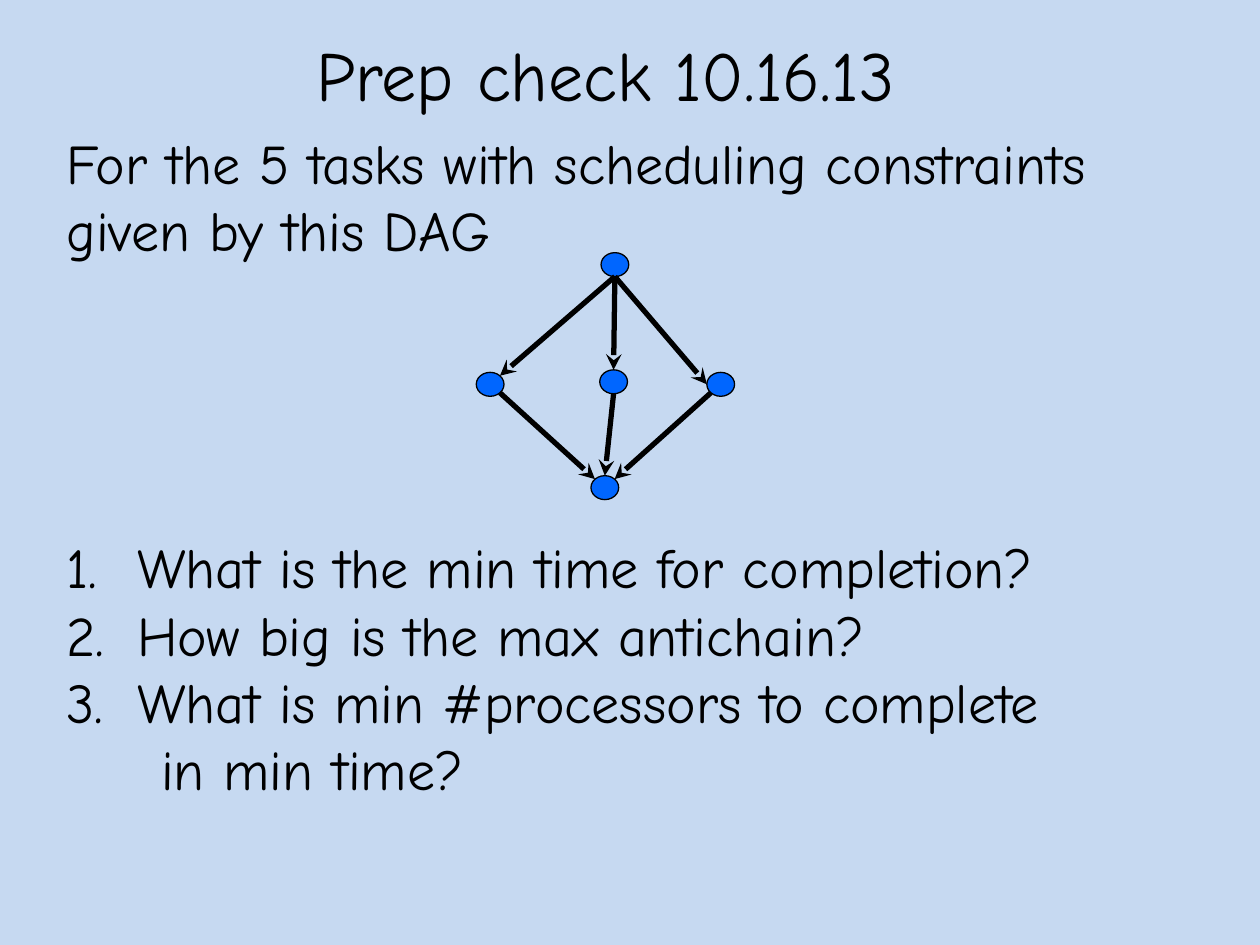
from lxml import etree
from pptx import Presentation
from pptx import util as u
from pptx.dml.color import RGBColor
from pptx.enum import shapes
from pptx.oxml.ns import qn

FONT = "Comic Neue"
INK = "000000"


def color(value):
    return RGBColor.from_string(value)


def add_lines(left, top, width, height, size, lines):
    """Add a text box; each line is (text, left margin, is numbered)."""
    box = slide.shapes.add_textbox(*map(u.Inches, (left, top, width, height)))
    box.text_frame.word_wrap = True
    for i, (line, margin, numbered) in enumerate(lines):
        frame = box.text_frame
        paragraph = frame.add_paragraph() if i else frame.paragraphs[0]
        properties = paragraph._p.get_or_add_pPr()
        properties.set("marL", str(u.Inches(margin)))
        if numbered:
            properties.set("indent", str(-u.Inches(margin)))
            etree.SubElement(properties, qn("a:buFont"), typeface=FONT)
            etree.SubElement(properties, qn("a:buAutoNum"), type="arabicPeriod")
        run = paragraph.add_run()
        run.text = line
        run.font.name = FONT
        run.font.size = u.Pt(size)
        run.font.color.rgb = color(INK)


prs = Presentation()
prs.slide_width, prs.slide_height = u.Inches(10), u.Inches(7.5)
slide = prs.slides.add_slide(prs.slide_layouts[6])
slide.background.fill.solid()
slide.background.fill.fore_color.rgb = color("C6D9F1")

add_lines(2.41, 0.2, 5.28, 0.77, 40, [("Prep check 10.16.13", 0, False)])
add_lines(0.43, 0.97, 9.29, 1.17, 32, [
    ("For the 5 tasks with scheduling constraints", 0, False),
    ("given by this DAG", 0, False),
])
add_lines(0.43, 4.18, 9.29, 2.28, 32, [
    ("What is the min time for completion?", 0.56, True),
    ("How big is the max antichain?", 0.56, True),
    ("What is min #processors to complete", 0.56, True),
    ("in min time?", 0.75, False),
])

# Task centres, and the points on a task's rim as fractions of its radii
RADIUS_X, RADIUS_Y = 0.11, 0.095
tasks = {
    "first": (4.88, 2.1),
    "left": (3.89, 3.05),
    "middle": (4.87, 3.03),
    "right": (5.72, 3.05),
    "last": (4.8, 3.87),
}
rim = {
    "top": (0, -1), "bottom": (0, 1), "left": (-1, 0),
    "top left": (-0.71, -0.71), "top right": (0.71, -0.71),
    "bottom left": (-0.71, 0.71), "bottom right": (0.71, 0.71),
}
constraints = [
    ("first", "bottom", "left", "top right"),
    ("first", "bottom", "middle", "top"),
    ("first", "bottom", "right", "left"),
    ("left", "bottom right", "last", "top left"),
    ("middle", "bottom", "last", "top"),
    ("right", "bottom left", "last", "top right"),
]

for x, y in tasks.values():
    node = slide.shapes.add_shape(
        shapes.MSO_SHAPE.OVAL, u.Inches(x - RADIUS_X), u.Inches(y - RADIUS_Y),
        u.Inches(2 * RADIUS_X), u.Inches(2 * RADIUS_Y))
    node.shadow.inherit = False
    node.fill.solid()
    node.fill.fore_color.rgb = color("0066FF")
    node.line.color.rgb = color(INK)
    node.line.width = u.Pt(0.75)

for before, exit_side, after, entry_side in constraints:
    ends = []
    for task, side in ((before, exit_side), (after, entry_side)):
        ends.append(u.Inches(tasks[task][0] + RADIUS_X * rim[side][0]))
        ends.append(u.Inches(tasks[task][1] + RADIUS_Y * rim[side][1]))
    arrow = slide.shapes.add_connector(shapes.MSO_CONNECTOR.STRAIGHT, *ends)
    arrow.line.color.rgb = color(INK)
    arrow.line.width = u.Pt(3)
    etree.SubElement(arrow.line._get_or_add_ln(), qn("a:tailEnd"), type="stealth")
    etree.SubElement(arrow._element.spPr, qn("a:effectLst"))

prs.save("out.pptx")
